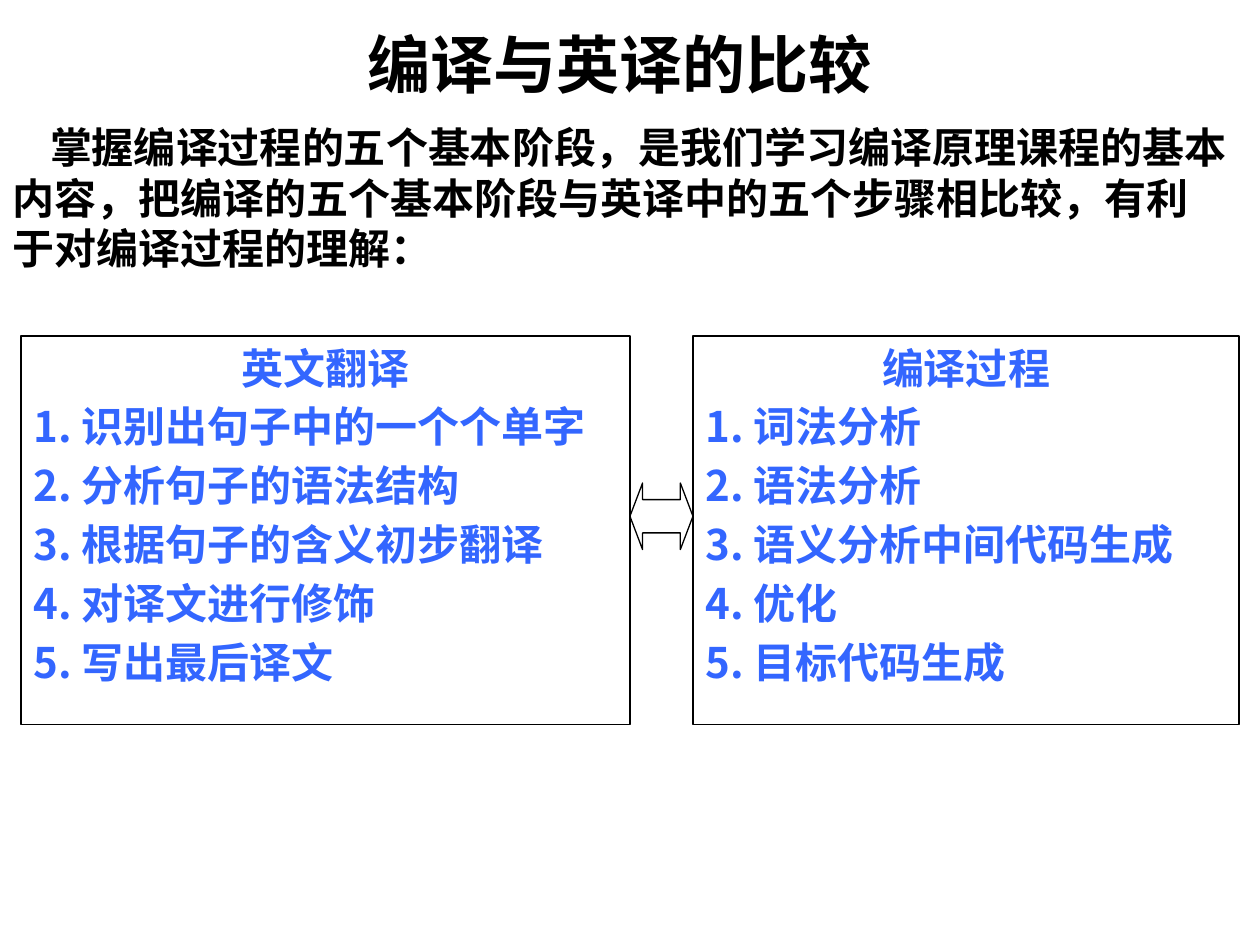
"""Builds a slide comparing compilation with English translation."""
from pptx import Presentation
from pptx.dml.color import RGBColor
from pptx.enum.shapes import MSO_SHAPE
from pptx.enum.text import MSO_ANCHOR, PP_ALIGN
from pptx.oxml.ns import qn
from pptx.util import Pt

RECTANGLE = MSO_SHAPE.RECTANGLE
DOUBLE_ARROW = MSO_SHAPE.LEFT_RIGHT_ARROW
LEFT, CENTER = PP_ALIGN.LEFT, PP_ALIGN.CENTER
TOP, MIDDLE = MSO_ANCHOR.TOP, MSO_ANCHOR.MIDDLE
SANS, SERIF = "Noto Sans CJK SC", "Times New Roman"
BLACK, BLUE = "000000", "3366FF"


def add_outline(kind, left, top, width, height):
    shape = slide.shapes.add_shape(kind, Pt(left), Pt(top), Pt(width), Pt(height))
    shape.shadow.inherit = False
    shape.fill.background()
    shape.line.color.rgb = RGBColor.from_string(BLACK)
    shape.line.width = Pt(0.75)
    return shape


def write(paragraph, text, size, font, color, align=LEFT, indent=0, margin=0):
    paragraph.alignment = align
    properties = paragraph._p.get_or_add_pPr()
    properties.set("marL", str(Pt(margin)))
    properties.set("indent", str(Pt(indent)))
    run = paragraph.add_run()
    run.text = text
    run.font.size = Pt(size)
    run.font.bold = True
    run.font.name = font
    run.font.color.rgb = RGBColor.from_string(color)
    if font == SANS:
        east_asian = run._r.get_or_add_rPr().makeelement(qn("a:ea"), {"typeface": font})
        run._r.rPr.find(qn("a:latin")).addnext(east_asian)


presentation = Presentation()
presentation.slide_width, presentation.slide_height = Pt(720), Pt(540)
slide = presentation.slides.add_slide(presentation.slide_layouts[6])

title = slide.shapes.add_textbox(Pt(42), Pt(18), Pt(624), Pt(36)).text_frame
title.word_wrap = True
title.vertical_anchor = MIDDLE
write(title.paragraphs[0], "编译与英译的比较", 36, SERIF, BLACK, CENTER)

intro = slide.shapes.add_textbox(Pt(0), Pt(66), Pt(708), Pt(96)).text_frame
intro.word_wrap = True
write(
    intro.paragraphs[0],
    "掌握编译过程的五个基本阶段，是我们学习编译原理课程的基本内容，"
    "把编译的五个基本阶段与英译中的五个步骤相比较，有利于对编译过程的理解：",
    24, SANS, BLACK, indent=21.5,
)

processes = [
    (12, 348, "英文翻译", [
        "识别出句子中的一个个单字",
        "分析句子的语法结构",
        "根据句子的含义初步翻译",
        "对译文进行修饰",
        "写出最后译文",
    ]),
    (396, 312, "编译过程", [
        "词法分析",
        "语法分析",
        "语义分析中间代码生成",
        "优化",
        "目标代码生成",
    ]),
]
for left, width, heading, steps in processes:
    frame = add_outline(RECTANGLE, left, 192, width, 222).text_frame
    frame.word_wrap = True
    frame.vertical_anchor = TOP
    write(frame.paragraphs[0], heading, 24, SANS, BLUE, CENTER, -27, 27)
    for number, step in enumerate(steps, 1):
        write(frame.add_paragraph(), f"{number}. {step}", 24, SANS, BLUE, LEFT, -27, 27)
    for paragraph in frame.paragraphs:
        paragraph.space_before = Pt(4.8)

arrow = add_outline(DOUBLE_ARROW, 360, 276, 36, 38)
arrow.adjustments[0] = 0.5
arrow.adjustments[1] = 0.2

presentation.save("out.pptx")
